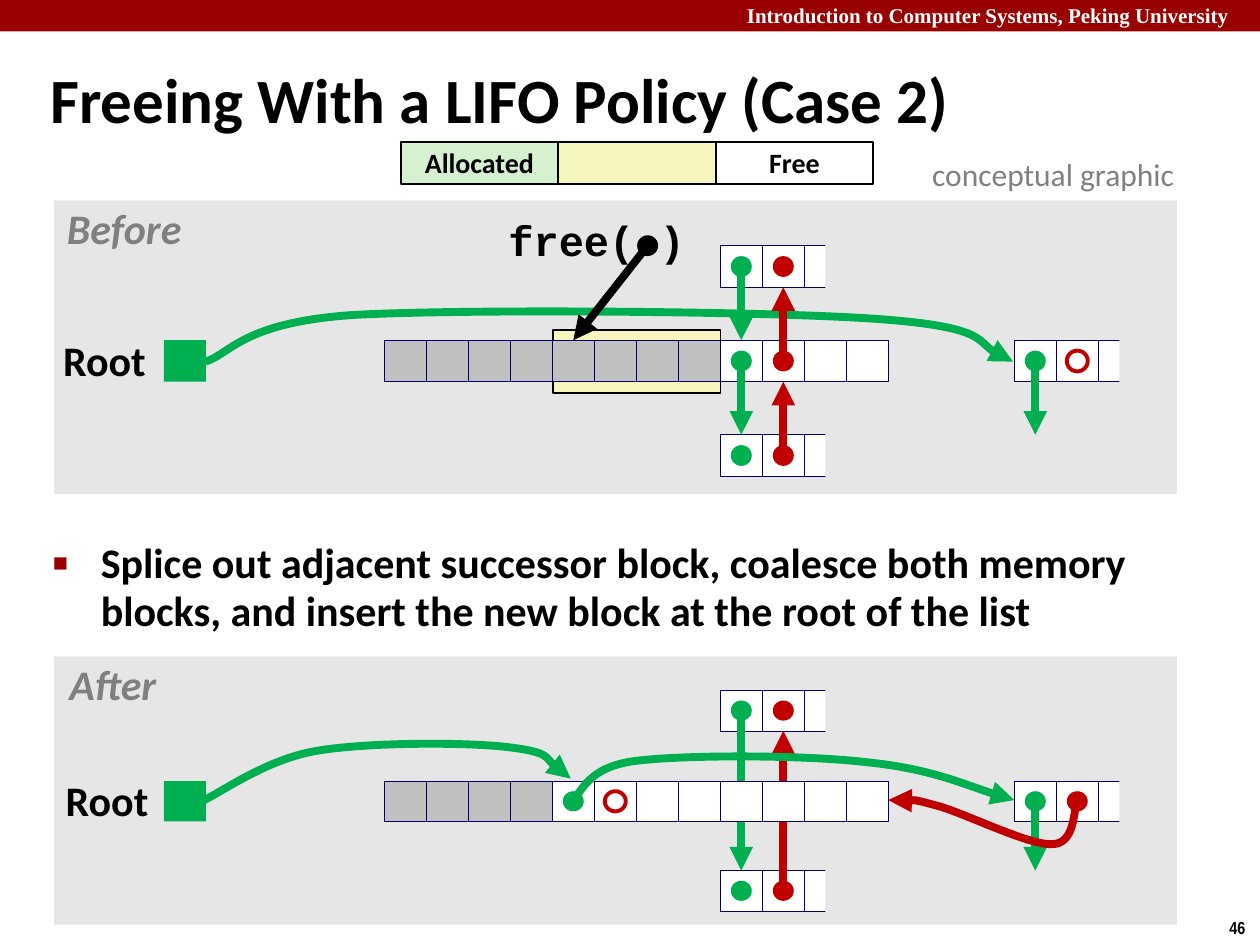
from lxml import etree
from pptx import Presentation
from pptx.dml.color import RGBColor
from pptx.enum.shapes import MSO_CONNECTOR, MSO_SHAPE
from pptx.enum.text import MSO_ANCHOR, MSO_AUTO_SIZE, PP_ALIGN
from pptx.oxml.ns import qn
from pptx.util import Inches, Pt

RECT, OVAL = MSO_SHAPE.RECTANGLE, MSO_SHAPE.OVAL
STRAIGHT = MSO_CONNECTOR.STRAIGHT
LEFT, CENTER = PP_ALIGN.LEFT, PP_ALIGN.CENTER
TOP, MIDDLE = MSO_ANCHOR.TOP, MSO_ANCHOR.MIDDLE

BLACK, WHITE = RGBColor(0, 0, 0), RGBColor(255, 255, 255)
CRIMSON, NAVY = RGBColor(0x99, 0, 0), RGBColor(0, 0, 0x66)
GREEN, RED = RGBColor(0, 0xB0, 0x50), RGBColor(0xC0, 0, 0)
PANEL, SILVER = RGBColor(0xE6, 0xE6, 0xE6), RGBColor(0xC0, 0xC0, 0xC0)
GRAY = RGBColor(0x80, 0x80, 0x80)
YELLOW, MINT = RGBColor(0xF6, 0xF5, 0xBD), RGBColor(0xD5, 0xF1, 0xCF)

# Content
TITLE = "Freeing With a LIFO Policy (Case 2)"
BULLET = ("Splice out adjacent successor block, coalesce both memory blocks, "
          "and insert the new block at the root of the list")
HEADER = "Introduction to Computer Systems, Peking University"
LEGEND = [("", YELLOW, 1), ("Allocated", MINT, 0), ("Free", WHITE, 2)]

# Columns count cells from the start of the heap row; rows are 0, 1, 2.
# Arrows are (column, from row, to row, colour); dots are (column, row).
BEFORE = {
    "label": ("Before", (0.47, 1.6, 1.03, 0.47)),
    "root": (0.45, 2.65, 0.76, 0.47),
    "panel": (1.59, 2.33), "rows": (1.95, 2.7, 3.45), "height": 0.33,
    "used": 8, "highlight": (4.39, 2.62, 1.33, 0.5),
    "under_arrows": [],
    "arrows": [(8, 0, 1, GREEN), (8, 1, 2, GREEN), (15, 1, 2, GREEN),
               (9, 2, 1, RED), (9, 1, 0, RED)],
    "green": [(8, 0), (8, 1), (8, 2), (15, 1)],
    "red": [(9, 0), (9, 1), (9, 2)], "ring": (16, 1),
    "under_curves": [(GREEN, [
        (1.63, 2.87), (1.83, 2.81), (1.92, 2.56), (2.8, 2.5), (3.69, 2.45),
        (6.06, 2.47), (6.94, 2.53), (7.81, 2.59), (7.81, 2.8), (8.04, 2.87)])],
    "curves": [],
}
AFTER = {
    "label": ("After", (0.49, 5.22, 0.81, 0.44)),
    "root": (0.47, 6.14, 0.76, 0.44),
    "panel": (5.21, 2.13), "rows": (5.48, 6.2, 6.91), "height": 0.32,
    "used": 4, "highlight": None,
    "under_arrows": [(8, 0, 2, GREEN), (9, 2, 0, RED)],
    "arrows": [(15, 1, 2, GREEN)],
    "green": [(8, 0), (8, 2), (4, 1), (15, 1)],
    "red": [(9, 0), (9, 2), (16, 1)], "ring": (5, 1),
    "under_curves": [],
    "curves": [
        (GREEN, [(4.54, 6.35), (4.62, 6.3), (4.65, 6.09), (5.04, 6.04),
                 (5.43, 5.99), (6.38, 5.99), (6.88, 6.05), (7.38, 6.1),
                 (7.81, 6.29), (8.05, 6.35)]),
        (RED, [(8.55, 6.35), (8.52, 6.41), (8.54, 6.7), (8.35, 6.7),
               (8.16, 6.71), (7.63, 6.44), (7.42, 6.39), (7.2, 6.33),
               (7.13, 6.36), (7.05, 6.35)]),
        (GREEN, [(1.62, 6.35), (1.77, 6.28), (2.11, 6.03), (2.51, 5.96),
                 (2.92, 5.89), (3.7, 5.89), (4.03, 5.93), (4.37, 5.97),
                 (4.43, 6.13), (4.53, 6.18)])],
}
CELL, ROW_LEFT, ROW_CELLS = 1 / 3, 3.05, 12
STUBS = [(8, 0), (8, 2), (15, 1)]

deck = Presentation()
deck.slide_width, deck.slide_height = Inches(10), Inches(7.5)
page = deck.slides.add_slide(deck.slide_layouts[1])
shapes = page.shapes


def inches(values):
    return [Inches(value) for value in values]


def column(index):
    return ROW_LEFT + index * CELL


def add_shape(kind, place, fill=None, line=None, width=0.25):
    shape = shapes.add_shape(kind, *inches(place))
    shape.shadow.inherit = False
    if fill is None:
        shape.fill.background()
    else:
        shape.fill.solid()
        shape.fill.fore_color.rgb = fill
    if line is None:
        shape.line.fill.background()
    else:
        shape.line.color.rgb, shape.line.width = line, Pt(width)
    return shape


def write(shape, text, size, color=BLACK, bold=True, italic=False, font="Calibri",
          align=LEFT, spacing=1.0, anchor=TOP, wrap=False, inset=None):
    frame = shape.text_frame
    frame.text = text
    frame.word_wrap, frame.auto_size = wrap, MSO_AUTO_SIZE.NONE
    frame.vertical_anchor = anchor
    if inset is not None:
        frame.margin_left = frame.margin_right = Inches(inset)
        frame.margin_top = frame.margin_bottom = Inches(0.05)
    para = frame.paragraphs[0]
    para.alignment, para.line_spacing, para.space_before = align, spacing, Pt(0)
    style = para.runs[0].font
    style.name, style.size, style.color.rgb = font, Pt(size), color
    style.bold, style.italic = bold, italic
    return para


def add_text(place, text, size, **options):
    write(shapes.add_textbox(*inches(place)), text, size, **options)


def add_label(place, text, **options):
    add_text(place, text, 24, align=CENTER, spacing=0.9, inset=0.05, **options)


def style_arrow(shape, color):
    shape.line.color.rgb, shape.line.width = color, Pt(4.5)
    etree.SubElement(shape.line._get_or_add_ln(), qn("a:tailEnd"), type="triangle")


def add_arrow(start, end, color):
    arrow = shapes.add_connector(STRAIGHT, *inches(start + end))
    style_arrow(arrow, color)
    etree.SubElement(arrow._element.spPr, qn("a:effectLst"))


def add_curve(color, points):
    builder = shapes.build_freeform(*inches(points[0]), scale=1.0)
    builder.add_line_segments([inches(point) for point in points[1:]], close=False)
    curve = builder.convert_to_shape()
    curve.shadow.inherit = False
    curve.fill.background()
    style_arrow(curve, color)
    # Every three points become one cubic segment
    segments = list(curve._element.iter(qn("a:lnTo")))
    outline = segments[0].getparent()
    for first in range(0, len(segments), 3):
        cubic = etree.SubElement(outline, qn("a:cubicBezTo"))
        for segment in segments[first:first + 3]:
            cubic.append(segment[0])
            outline.remove(segment)


def add_dot(x, y, height, fill=None, line=None):
    add_shape(OVAL, (x - CELL / 4, y - height / 4, CELL / 2, height / 2), fill, line, 2.25)


def draw_scene(scene):
    rows, height = scene["rows"], scene["height"]

    def center(index, row):
        return column(index) + CELL / 2, rows[row] + height / 2

    def cell(index, row, fill=WHITE):
        add_shape(RECT, (column(index), rows[row], CELL, height), fill, NAVY)

    def arrow(index, start, end, color):
        x, y = center(index, start)
        edge = rows[end] + (0 if end > start else height)
        add_arrow((x, y), (x, edge), color)

    # Panel and what lies under the cells
    top, panel_height = scene["panel"]
    add_shape(RECT, (0.43, top, 8.91, panel_height), PANEL)
    if scene["highlight"]:
        add_shape(RECT, scene["highlight"], YELLOW, BLACK, 0.75)
    for curve in scene["under_curves"]:
        add_curve(*curve)

    # List neighbours, cut off halfway through their third cell
    for first, row in STUBS:
        for index in range(first, first + 3):
            cell(index, row)
        add_shape(RECT, (column(first + 2.5), rows[row] - height / 4, CELL, height * 1.5),
                  PANEL)

    # Heap row, root and links
    for link in scene["under_arrows"]:
        arrow(*link)
    for index in range(ROW_CELLS):
        cell(index, 1, SILVER if index < scene["used"] else WHITE)
    add_shape(RECT, (1.3, rows[1], CELL, height), GREEN)
    for link in scene["arrows"]:
        arrow(*link)
    for name, color in (("green", GREEN), ("red", RED)):
        for spot in scene[name]:
            add_dot(*center(*spot), height, fill=color)
    add_dot(*center(*scene["ring"]), height, line=RED)
    for curve in scene["curves"]:
        add_curve(*curve)

    # Labels
    add_label(scene["root"], "Root")
    text, place = scene["label"]
    add_label(place, text, color=GRAY, italic=True)


# Header band and page number
add_shape(RECT, (0, 0, 10, 0.25), CRIMSON)
add_text((5.83, -0.03, 4.24, 0.3), HEADER, 12, color=WHITE, font="Times New Roman", wrap=True)
add_text((9.66, 7.23, 0.34, 0.27), "46", 10, font="Arial Narrow")

# Title and bullet
title, body = shapes.title, page.placeholders[1]
for holder, place in ((title, (0.3, 0.39, 9.53, 0.86)), (body, (0.32, 4.24, 9.09, 0.86))):
    holder.left, holder.top, holder.width, holder.height = inches(place)
write(title, TITLE, 36, spacing=0.87, anchor=MIDDLE, wrap=True)
properties = write(body, BULLET, 24, spacing=0.95, wrap=True)._p.get_or_add_pPr()
properties.set("marL", str(Inches(0.38)))
properties.set("indent", str(Inches(-0.38)))
bullet_color = etree.SubElement(properties, qn("a:buClr"))
etree.SubElement(bullet_color, qn("a:srgbClr"), val=str(CRIMSON))
etree.SubElement(properties, qn("a:buSzPct"), val="60000")
etree.SubElement(properties, qn("a:buChar"), char="■")

# Both states of the heap, and the pointer being freed
draw_scene(BEFORE)
add_label((3.98, 1.7, 1.51, 0.47), "free( )", font="Courier New")
add_dot(5.14, 1.95, BEFORE["height"], fill=BLACK)
add_arrow((5.14, 1.95), (4.55, 2.7), BLACK)
draw_scene(AFTER)

# Legend
add_text((7.3, 1.18, 2.17, 0.4), "conceptual graphic", 18, color=GRAY, bold=False)
for text, fill, position in LEGEND:
    key = add_shape(RECT, (3.18 + 1.25 * position, 1.13, 1.25, 0.33), fill, BLACK, 1)
    if text:
        write(key, text, 16, align=CENTER, spacing=0.98, anchor=MIDDLE, inset=0.1)

deck.save("out.pptx")
